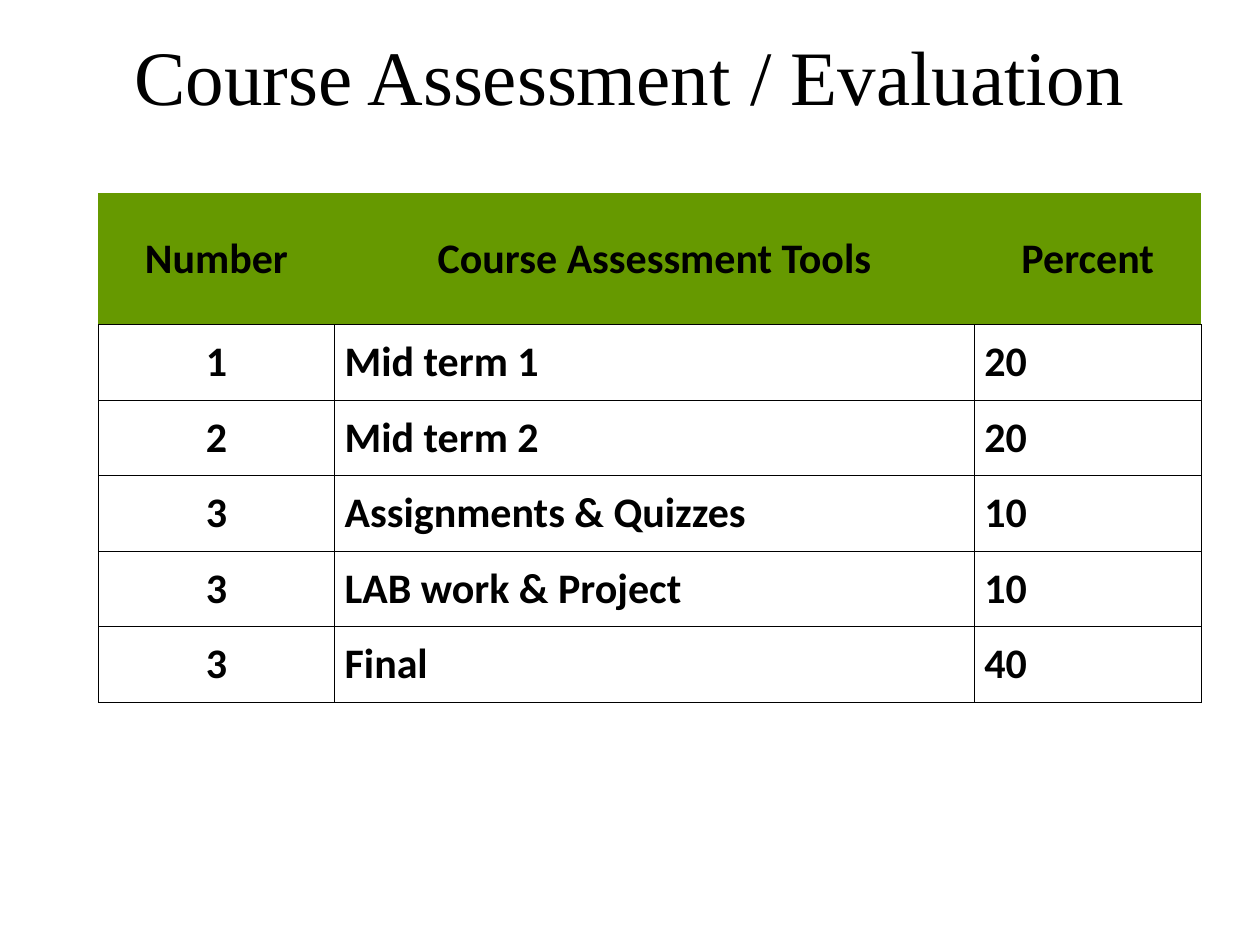
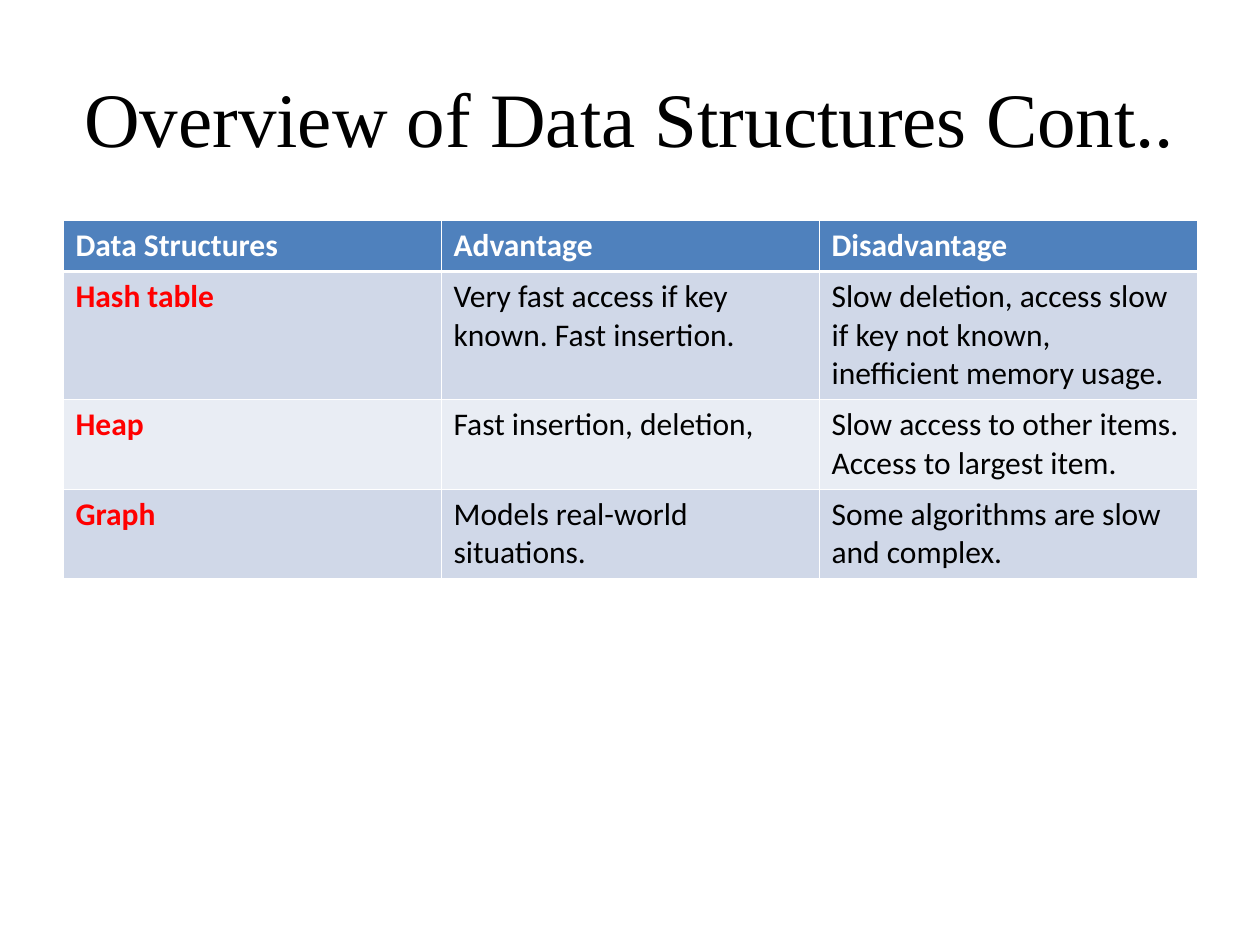
from dataclasses import dataclass
from typing import Optional

from lxml.etree import SubElement
from pptx import Presentation
from pptx.dml.color import RGBColor
from pptx.enum.text import MSO_ANCHOR, PP_ALIGN
from pptx.oxml.ns import qn
from pptx.util import Pt

BLACK = RGBColor(0x00, 0x00, 0x00)
WHITE = RGBColor(0xFF, 0xFF, 0xFF)
RED = RGBColor(0xFF, 0x00, 0x00)
GREEN = RGBColor(0x66, 0x99, 0x00)
BLUE = RGBColor(0x4F, 0x81, 0xBD)
BAND_DARK = RGBColor(0xD0, 0xD8, 0xE8)
BAND_LIGHT = RGBColor(0xE9, 0xED, 0xF4)

TITLE_FONT = "Times New Roman"
BODY_FONT = "Calibri"
THIN, THICK = 0.45, 1.47


@dataclass(frozen=True)
class Box:
    left: float
    top: float
    width: float
    height: float


@dataclass(frozen=True)
class CellStyle:
    size: float
    color: RGBColor
    bold: bool = True
    fill: Optional[RGBColor] = None
    align: PP_ALIGN = PP_ALIGN.LEFT
    anchor: MSO_ANCHOR = MSO_ANCHOR.TOP
    margin: float = 7.2


@dataclass(frozen=True)
class Line:
    color: RGBColor
    width: float = THIN


def add_title_slide(prs: Presentation, text: str, box: Box):
    s = prs.slides.add_slide(prs.slide_layouts[5])
    title = s.shapes.title
    title.left, title.top = Pt(box.left), Pt(box.top)
    title.width, title.height = Pt(box.width), Pt(box.height)
    tf = title.text_frame
    tf.word_wrap = True
    tf.vertical_anchor = MSO_ANCHOR.MIDDLE
    p = tf.paragraphs[0]
    p.alignment = PP_ALIGN.CENTER
    add_run(p, text, TITLE_FONT, 44, BLACK)
    return s


def add_run(p, text: str, font: str, size: float, color: RGBColor,
            bold: bool = False) -> None:
    r = p.add_run()
    r.text = text
    r.font.name = font
    r.font.size = Pt(size)
    r.font.bold = bold
    r.font.color.rgb = color


def add_grid(s, left: float, top: float, cols: list[float], rows: list[float]):
    tbl = s.shapes.add_table(len(rows), len(cols), Pt(left), Pt(top),
                             Pt(sum(cols)), Pt(sum(rows))).table
    tbl.horz_banding = False
    for col, width in zip(tbl.columns, cols):
        col.width = Pt(width)
    for row, height in zip(tbl.rows, rows):
        row.height = Pt(height)
    return tbl


def fill_cell(cell, text: str, style: CellStyle) -> None:
    """Write one paragraph per line of text and format the cell."""
    cell.margin_left = cell.margin_right = Pt(style.margin)
    cell.margin_top = cell.margin_bottom = Pt(3.6)
    cell.vertical_anchor = style.anchor
    if style.fill is None:
        cell.fill.background()
    else:
        cell.fill.solid()
        cell.fill.fore_color.rgb = style.fill
    tf = cell.text_frame
    for i, line in enumerate(text.split("\n")):
        p = tf.add_paragraph() if i else tf.paragraphs[0]
        p.alignment = style.align
        add_run(p, line, BODY_FONT, style.size, style.color, style.bold)


def set_borders(cell, side: Optional[Line], top: Optional[Line],
                bottom: Optional[Line]) -> None:
    """Draw the cell borders; None leaves a border out."""
    tc_pr = cell._tc.get_or_add_tcPr()
    edges = {"a:lnL": side, "a:lnR": side, "a:lnT": top, "a:lnB": bottom}
    for i, (tag, line) in enumerate(edges.items()):
        ln = SubElement(tc_pr, qn(tag))
        if line is None:
            SubElement(ln, qn("a:noFill"))
        else:
            ln.set("w", str(int(Pt(line.width))))
            fill = SubElement(ln, qn("a:solidFill"))
            SubElement(fill, qn("a:srgbClr")).set("val", str(line.color))
        tc_pr.insert(i, ln)


def build_assessment(prs: Presentation) -> None:
    s = add_title_slide(prs, "Course Assessment / Evaluation",
                        Box(54, 11.5, 612, 62))
    records = [
        ("Number", "Course Assessment Tools", "Percent"),
        ("1", "Mid term 1", "20"),
        ("2", "Mid term 2", "20"),
        ("3", "Assignments & Quizzes", "10"),
        ("3", "LAB work & Project", "10"),
        ("3", "Final", "40"),
    ]
    tbl = add_grid(s, 56.2, 110.4, [135, 365.6, 129.6], [75] + [43.2] * 5)
    rule = Line(BLACK)
    for i, record in enumerate(records):
        for j, text in enumerate(record):
            header = i == 0
            centred = header or j == 0
            style = CellStyle(
                24, BLACK, fill=GREEN if header else None,
                align=PP_ALIGN.CENTER if centred else PP_ALIGN.LEFT,
                anchor=MSO_ANCHOR.MIDDLE, margin=5.8)
            cell = tbl.cell(i, j)
            fill_cell(cell, text, style)
            outer = None if header else rule
            set_borders(cell, outer, outer, rule)


def build_overview(prs: Presentation) -> None:
    s = add_title_slide(prs, "Overview of Data Structures Cont..",
                        Box(36, 21.6, 648, 90))
    records = [
        ("Data Structures", "Advantage", "Disadvantage"),
        ("Hash table", "Very fast access if key\nknown. Fast insertion.",
         "Slow deletion, access slow if key not known,  inefficient memory usage."),
        ("Heap", "Fast insertion, deletion,",
         "Slow access to other items. Access to largest item."),
        ("Graph", "Models real-world\nsituations.",
         "Some algorithms are slow and complex."),
    ]
    tbl = add_grid(s, 36, 126, [216] * 3, [29.2, 72.8, 50.4, 50.4])
    thin, thick = Line(WHITE), Line(WHITE, THICK)
    for i, record in enumerate(records):
        band = BAND_DARK if i % 2 else BAND_LIGHT
        for j, text in enumerate(record):
            if i == 0:
                style = CellStyle(18, WHITE, fill=BLUE)
            elif j == 0:
                style = CellStyle(18, RED, fill=band)
            else:
                style = CellStyle(18, BLACK, bold=False, fill=band)
            cell = tbl.cell(i, j)
            fill_cell(cell, text, style)
            set_borders(cell, thin, thick if i == 1 else thin,
                        thick if i == 0 else thin)


def main() -> None:
    prs = Presentation()
    prs.slide_width, prs.slide_height = Pt(720), Pt(540)
    build_assessment(prs)
    build_overview(prs)
    prs.save("out.pptx")


if __name__ == "__main__":
    main()
